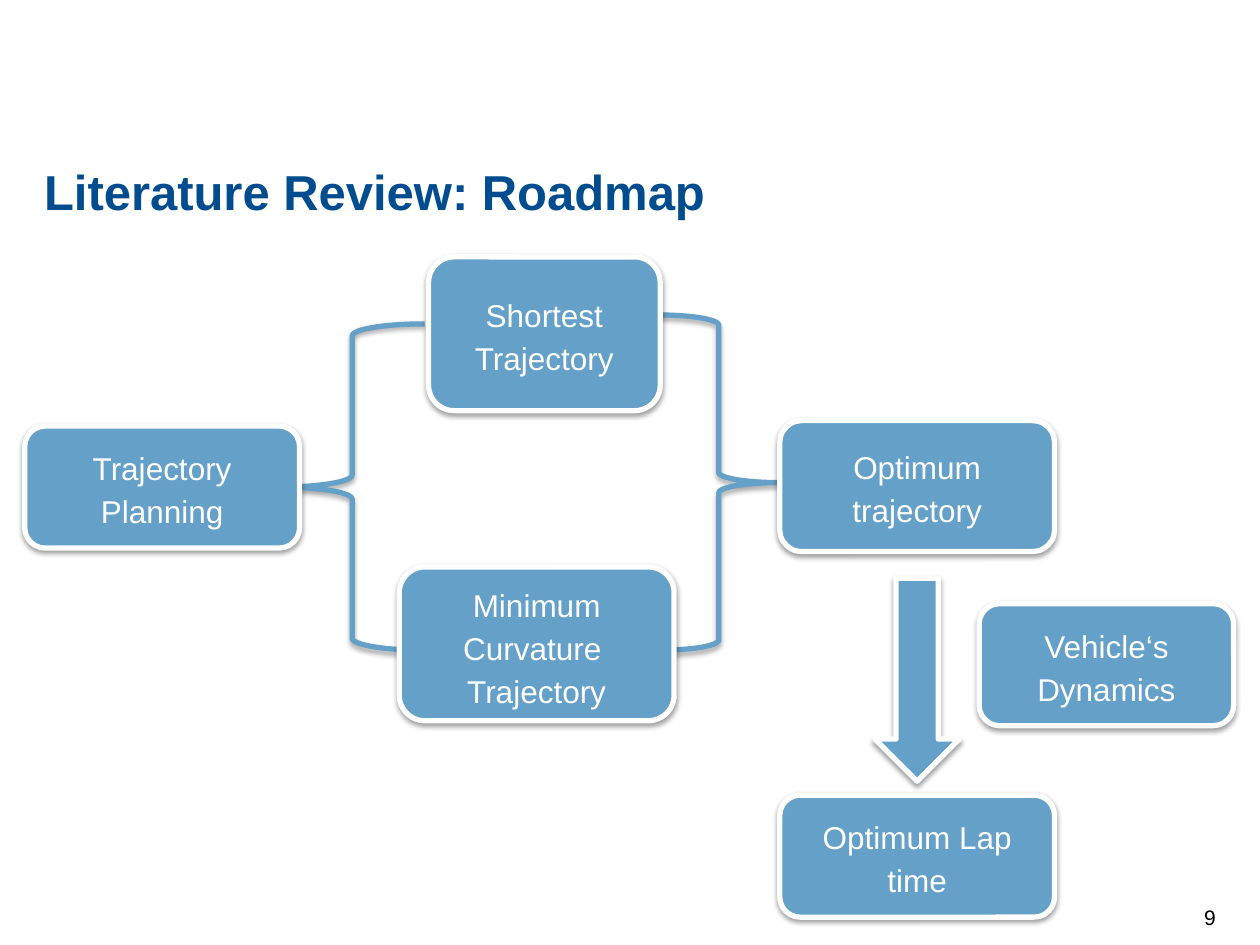
from lxml.etree import SubElement
from pptx import Presentation
from pptx.dml.color import RGBColor
from pptx.enum.shapes import MSO_SHAPE as Preset
from pptx.enum.text import MSO_ANCHOR as Anchor, PP_ALIGN as Align
from pptx.oxml.ns import qn
from pptx.util import Cm, Pt

COLORS = {"title": "004C8E", "box": "64A0C8", "white": "FFFFFF", "black": "000000"}
BOX_WIDTH, BOX_HEIGHT = 5.54, 2.46
TALL_HEIGHT = 3.1


def color(name):
    return RGBColor.from_string(COLORS[name])


def write(shape, text, size=18, ink="white", bold=False, align=Align.CENTER,
          anchor=Anchor.MIDDLE, spacing=1.14, insets=None):
    frame = shape.text_frame
    frame.word_wrap = True
    frame.vertical_anchor = anchor
    if insets:
        frame.margin_left = frame.margin_right = Cm(insets[0])
        frame.margin_top = frame.margin_bottom = Cm(insets[1])
    frame.text = text
    for paragraph in frame.paragraphs:
        paragraph.alignment = align
        paragraph.line_spacing = spacing
        font = paragraph.runs[0].font
        font.name, font.size, font.bold = "Arial", Pt(size), bold
        font.color.rgb = color(ink)


def add_shadow(shape, opacity, distance):
    shape.shadow.inherit = False
    effects = shape._element.spPr.find(qn("a:effectLst"))
    shadow = SubElement(effects, qn("a:outerShdw"), blurRad=str(Pt(3.1)),
                        dist=str(Pt(distance)), dir="5400000", rotWithShape="0")
    black = SubElement(shadow, qn("a:srgbClr"), val=COLORS["black"])
    SubElement(black, qn("a:alpha"), val=str(opacity * 1000))


def add_part(shapes, preset, box, fill="box", line="white", opacity=38, distance=1.6):
    part = shapes.add_shape(preset, *map(Cm, box))
    if fill:
        part.fill.solid()
        part.fill.fore_color.rgb = color(fill)
    else:
        part.fill.background()
    part.line.color.rgb = color(line)
    part.line.width = Pt(3)
    add_shadow(part, opacity, distance)
    return part


def add_title(slide, box):
    title = slide.shapes.add_textbox(*map(Cm, box))
    write(title, "Literature Review: Roadmap", size=28, ink="title", bold=True,
          align=Align.LEFT, anchor=Anchor.TOP, spacing=1.25, insets=(0, 0))


def add_page_number(slide, box):
    number = slide.shapes.add_textbox(*map(Cm, box))
    write(number, "9", size=12, ink="black", align=Align.RIGHT, spacing=1,
          insets=(0, 0.13))


def add_roadmap(slide, left, top):
    shapes = slide.shapes.add_group_shape().shapes
    goal_left = 15.22
    arrow_width = 1.7
    arrow_left = goal_left + (BOX_WIDTH - arrow_width) / 2

    braces = [
        (Preset.RIGHT_BRACE, 12.76, 1.17, 2.46, 6.76),
        (Preset.LEFT_BRACE, 5.14, 1.35, 2.92, 6.58),
    ]
    for preset, x, y, width, height in braces:
        add_part(shapes, preset, (left + x, top + y, width, height),
                 fill=None, line="box", opacity=35, distance=1.8)

    add_part(shapes, Preset.DOWN_ARROW,
             (left + arrow_left, top + 6.48, arrow_width, 4.09))

    steps = [
        ("Minimum Curvature \nTrajectory", 7.55, 6.25, BOX_WIDTH, TALL_HEIGHT, Anchor.TOP),
        ("Optimum trajectory", goal_left, 3.3, BOX_WIDTH, 2.64, Anchor.MIDDLE),
        ("Shortest Trajectory", 8.14, 0, 4.67, TALL_HEIGHT, Anchor.MIDDLE),
        ("Optimum Lap time", goal_left, 10.85, BOX_WIDTH, BOX_HEIGHT, Anchor.MIDDLE),
        ("Vehicle‘s Dynamics", 19.24, 6.99, 5.13, BOX_HEIGHT, Anchor.MIDDLE),
        ("Trajectory Planning", 0, 3.41, BOX_WIDTH, BOX_HEIGHT, Anchor.MIDDLE),
    ]
    for label, x, y, width, height, anchor in steps:
        step = add_part(shapes, Preset.ROUNDED_RECTANGLE,
                        (left + x, top + y, width, height))
        write(step, label, anchor=anchor)


def main():
    deck = Presentation()
    deck.slide_width, deck.slide_height = Cm(25.4), Cm(19.05)
    slide = deck.slides.add_slide(deck.slide_layouts[6])
    add_page_number(slide, (18.82, 17.98, 5.69, 1.02))
    add_title(slide, (0.89, 2.97, 23.65, 1.35))
    add_roadmap(slide, 0.5, 5.18)
    deck.save("out.pptx")


if __name__ == "__main__":
    main()
